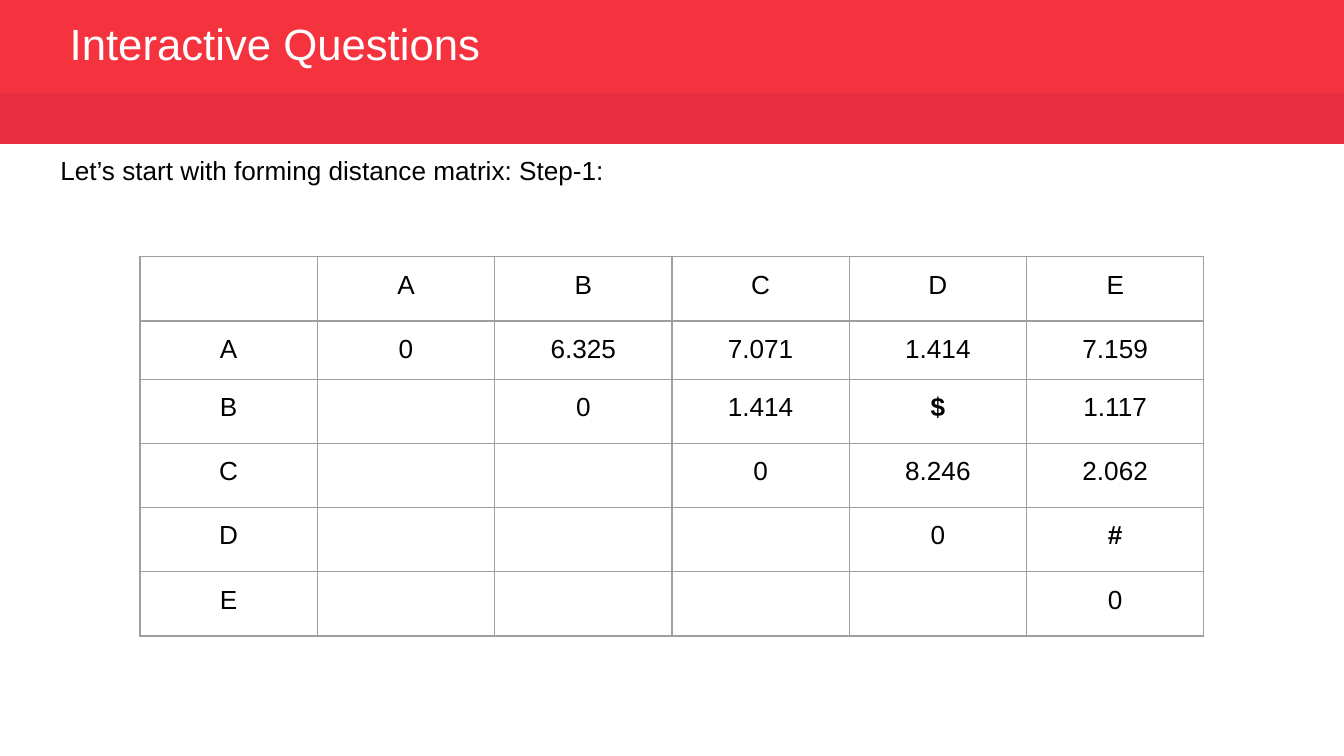
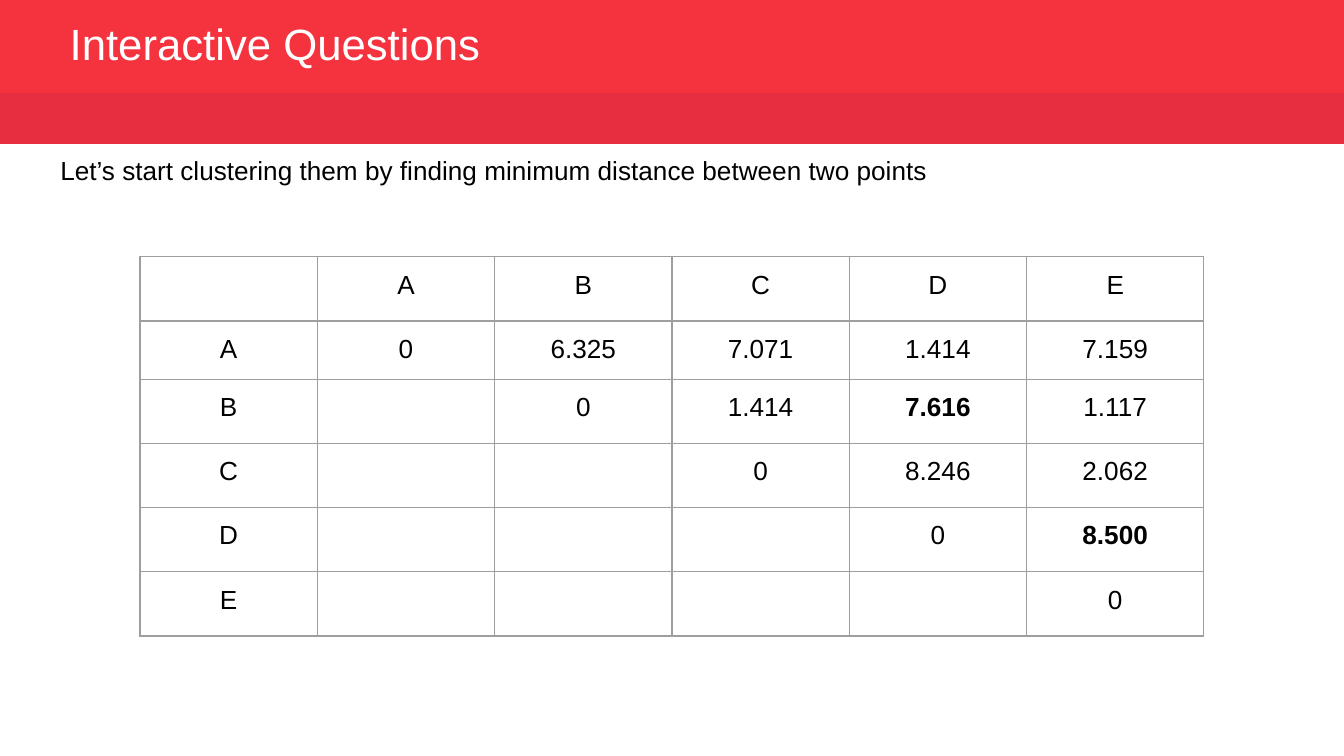
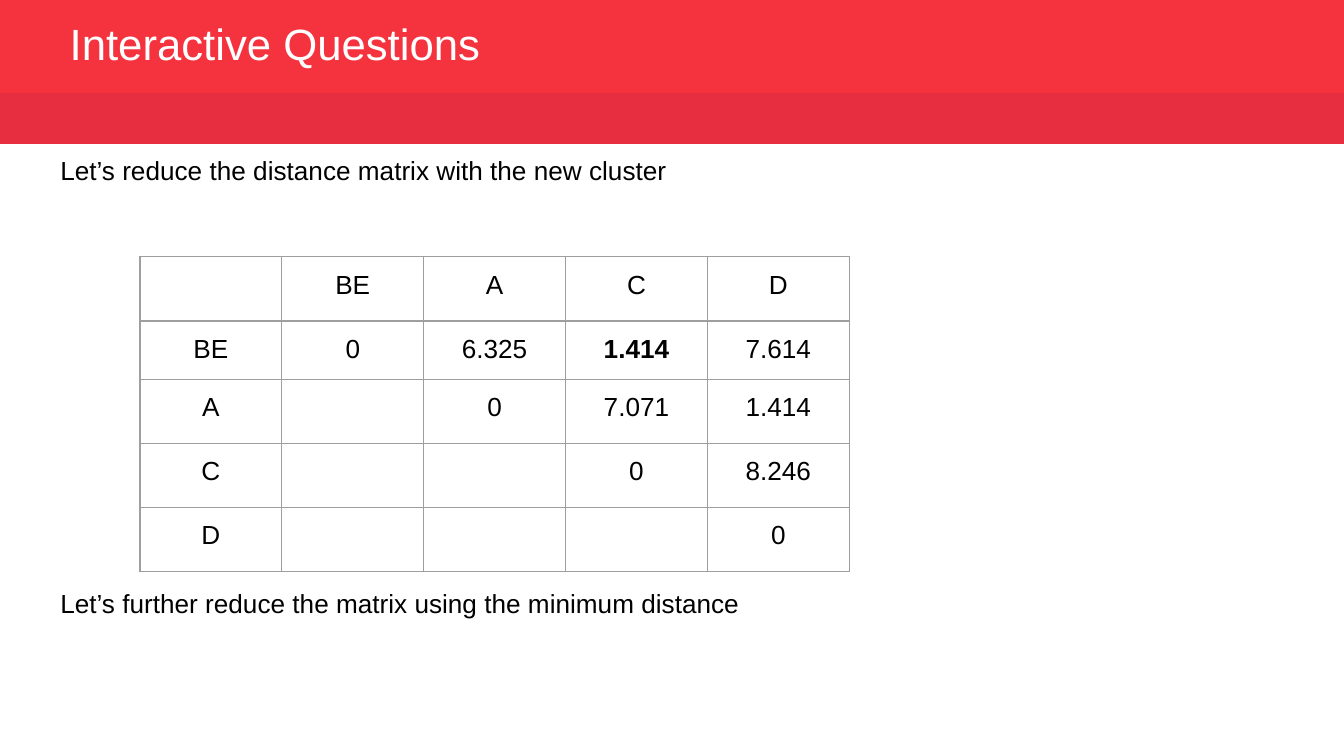
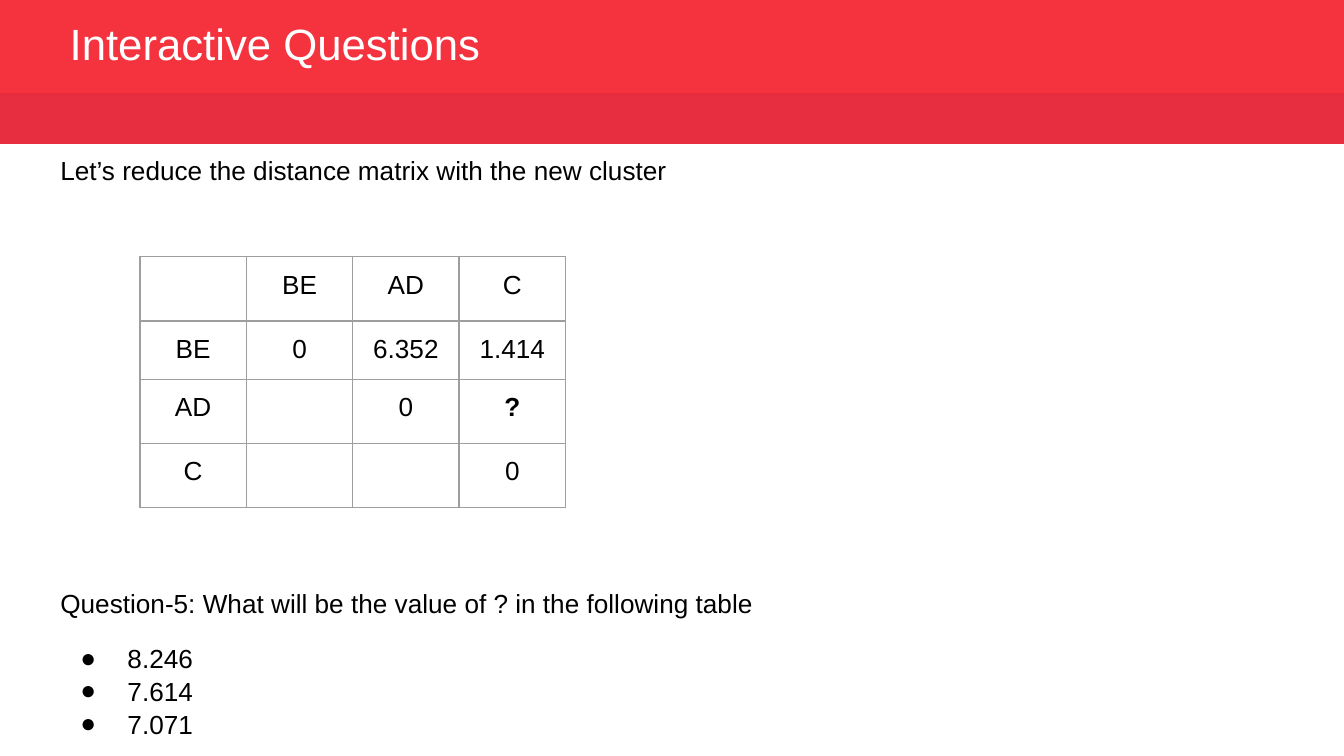
from dataclasses import dataclass

from lxml import etree
from pptx import Presentation
from pptx.dml.color import RGBColor
from pptx.enum import shapes, text
from pptx.oxml import ns
from pptx.util import Pt


@dataclass(frozen=True)
class Theme:
    font: str = "Arial"
    title_size: float = 23.4
    body_size: float = 14
    top_band: str = "F5333F"
    lower_band: str = "E72D40"
    title_color: str = "FFFFFF"
    body_color: str = "000000"
    grid_color: str = "9E9E9E"
    grid_width: float = 0.75


THEME = Theme()
SLIDE_WIDTH, SLIDE_HEIGHT = 720, 405

# Distance matrix layout
TABLE_LEFT, TABLE_TOP = 75, 137.6
ROW_HEIGHT, FIRST_ROW_HEIGHT = 34.4, 30.24

# Body paragraph gaps: normal, and the one that clears the table
GAP, TABLE_GAP = 12, 214


def add_run(paragraph, words, size=THEME.body_size, color=THEME.body_color, bold=False):
    run = paragraph.add_run()
    run.text = words
    run.font.name = THEME.font
    run.font.size = Pt(size)
    run.font.bold = bold
    run.font.color.rgb = RGBColor.from_string(color)


def add_band(slide, top, height, color):
    band = slide.shapes.add_shape(
        shapes.MSO_SHAPE.RECTANGLE, 0, Pt(top), Pt(SLIDE_WIDTH), Pt(height))
    band.shadow.inherit = False
    band.fill.solid()
    band.fill.fore_color.rgb = RGBColor.from_string(color)
    band.line.fill.background()


def add_text_frame(slide, left, top, width, height):
    frame = slide.shapes.add_textbox(Pt(left), Pt(top), Pt(width), Pt(height)).text_frame
    frame.word_wrap = True
    return frame


def add_header(slide):
    add_band(slide, 0, 50.4, THEME.top_band)
    frame = add_text_frame(slide, 30.24, 10, 337.7, 31.7)
    frame.vertical_anchor = text.MSO_ANCHOR.MIDDLE
    title = frame.paragraphs[0]
    title.line_spacing = 0.8
    add_run(title, "Interactive Questions", THEME.title_size, THEME.title_color)
    add_band(slide, 49.9, 27.2, THEME.lower_band)


def add_bullet(paragraph):
    properties = paragraph._p.get_or_add_pPr()
    properties.set("marL", str(Pt(36)))
    properties.set("indent", str(-Pt(25.2)))
    color = etree.SubElement(properties, ns.qn("a:buClr"))
    etree.SubElement(color, ns.qn("a:srgbClr"), val=THEME.body_color)
    etree.SubElement(properties, ns.qn("a:buFont"), typeface=THEME.font)
    etree.SubElement(properties, ns.qn("a:buChar"), char="●")


def add_body(slide, opening, closing=None, options=()):
    frame = add_text_frame(slide, 25.2, 78.5, 658.8, 326)

    def add_line(paragraph, words, gap):
        paragraph.line_spacing = 1.05
        paragraph.space_before = Pt(gap)
        add_run(paragraph, words)
        return paragraph

    add_line(frame.paragraphs[0], opening, GAP)
    if closing:
        add_line(frame.add_paragraph(), closing, TABLE_GAP)
    for index, option in enumerate(options):
        add_bullet(add_line(frame.add_paragraph(), option, 0 if index else GAP))


def add_cell_borders(cell):
    properties = cell._tc.get_or_add_tcPr()
    for side in ("a:lnL", "a:lnR", "a:lnT", "a:lnB"):
        line = etree.SubElement(properties, ns.qn(side), w=str(Pt(THEME.grid_width)))
        fill = etree.SubElement(line, ns.qn("a:solidFill"))
        etree.SubElement(fill, ns.qn("a:srgbClr"), val=THEME.grid_color)


def fill_cell(cell, words, bold):
    add_cell_borders(cell)
    cell.fill.background()
    if words:
        cell.margin_left = cell.margin_right = Pt(7.2)
        cell.margin_top = cell.margin_bottom = Pt(7.2)
        paragraph = cell.text_frame.paragraphs[0]
        paragraph.alignment = text.PP_ALIGN.CENTER
        add_run(paragraph, words, bold=bold)


def add_distance_matrix(slide, labels, distances, highlights):
    """Draw an upper triangular matrix; each distances row starts after its diagonal 0."""
    count = len(labels) + 1
    column_width = 19 * len(labels)
    heights = [ROW_HEIGHT, FIRST_ROW_HEIGHT] + [ROW_HEIGHT] * (count - 2)
    table = slide.shapes.add_table(
        count, count, Pt(TABLE_LEFT), Pt(TABLE_TOP),
        Pt(column_width * count), Pt(sum(heights))).table
    table.first_row = table.horz_banding = False
    for column in table.columns:
        column.width = Pt(column_width)
    for row, height in zip(table.rows, heights):
        row.height = Pt(height)

    rows = [["", *labels]]
    for index, label in enumerate(labels):
        values = distances[index] if index < len(distances) else []
        rows.append([label, *[""] * index, "0", *values])
    for row_index, row in enumerate(rows):
        for column_index, words in enumerate(row):
            pair = (row[0], rows[0][column_index])
            fill_cell(table.cell(row_index, column_index), words, pair in highlights)


def five_point_distances(b_to_d, d_to_e):
    return [["6.325", "7.071", "1.414", "7.159"],
            ["1.414", b_to_d, "1.117"],
            ["8.246", "2.062"],
            [d_to_e]]


def main():
    presentation = Presentation()
    presentation.slide_width = Pt(SLIDE_WIDTH)
    presentation.slide_height = Pt(SLIDE_HEIGHT)

    points = ["A", "B", "C", "D", "E"]
    unknown_pairs = {("B", "D"), ("D", "E")}
    reduce_line = "Let’s reduce the distance matrix with the new cluster"

    # Each step: body text, then matrix labels, distances and bold pairs
    steps = [
        (["Let’s start with forming distance matrix: Step-1:"],
         points, five_point_distances("$", "#"), unknown_pairs),
        (["Let’s start clustering them by finding minimum distance between two points"],
         points, five_point_distances("7.616", "8.500"), unknown_pairs),
        ([reduce_line, "Let’s further reduce the matrix using the minimum distance"],
         ["BE", "A", "C", "D"],
         [["6.325", "1.414", "7.614"], ["7.071", "1.414"], ["8.246"]],
         {("BE", "C")}),
        ([reduce_line, "Question-5: What will be the value of ? in the following table",
          ["8.246", "7.614", "7.071"]],
         ["BE", "AD", "C"], [["6.352", "1.414"], ["?"]], {("AD", "C")}),
    ]
    for body, labels, distances, highlights in steps:
        slide = presentation.slides.add_slide(presentation.slide_layouts[6])
        add_header(slide)
        add_body(slide, *body)
        add_distance_matrix(slide, labels, distances, highlights)

    presentation.save("out.pptx")


if __name__ == "__main__":
    main()
